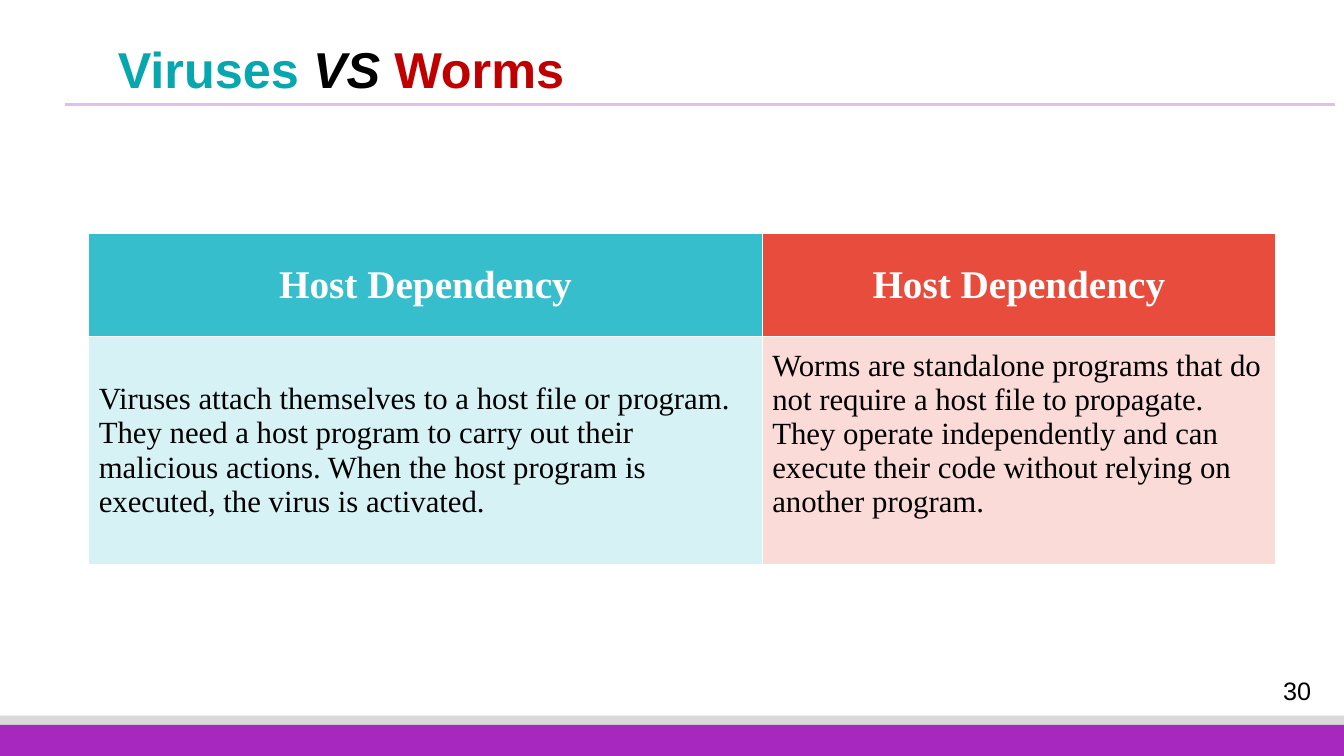
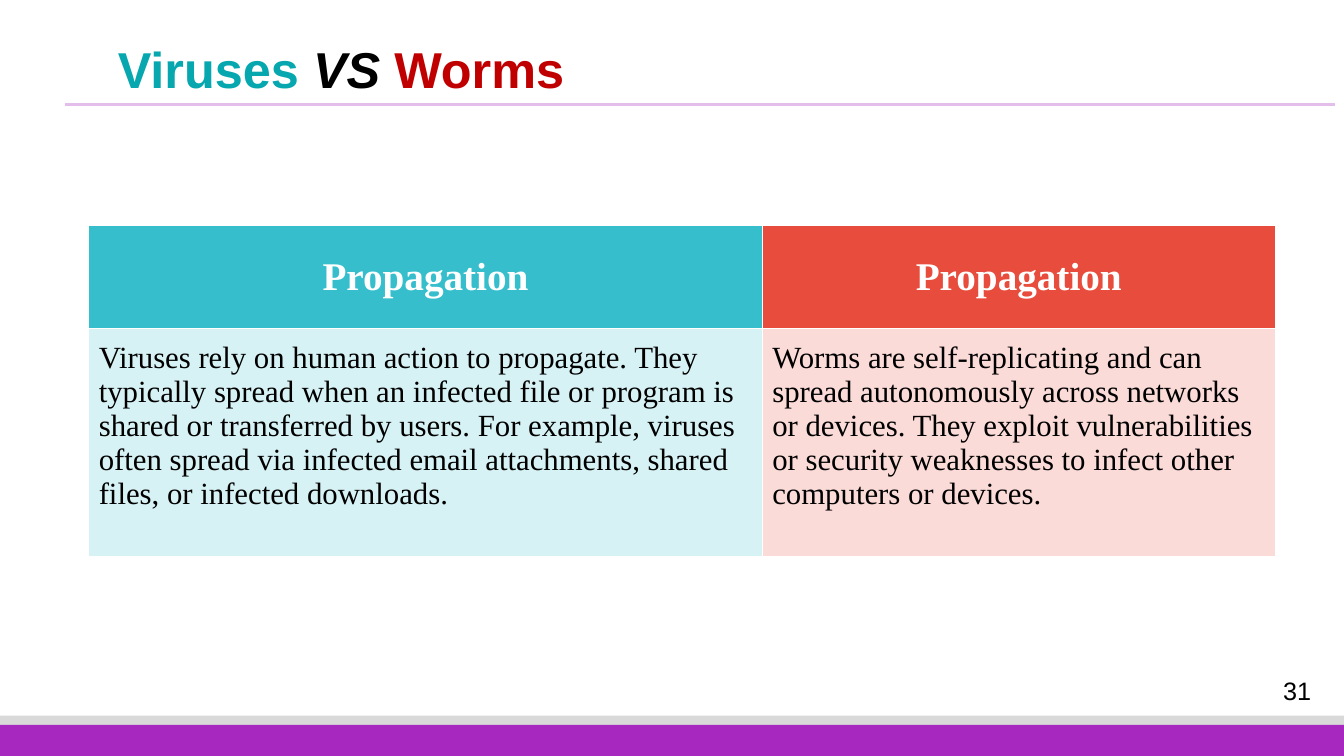
from lxml import etree
from pptx import Presentation
from pptx.dml.color import RGBColor
from pptx.enum.shapes import MSO_CONNECTOR, MSO_SHAPE
from pptx.enum.text import MSO_ANCHOR, PP_ALIGN
from pptx.oxml.ns import qn
from pptx.util import Inches, Pt

RECT, STRAIGHT = MSO_SHAPE.RECTANGLE, MSO_CONNECTOR.STRAIGHT
MIDDLE, CENTER, LEFT = MSO_ANCHOR.MIDDLE, PP_ALIGN.CENTER, PP_ALIGN.LEFT

BLACK = RGBColor(0x00, 0x00, 0x00)
WHITE = RGBColor(0xFF, 0xFF, 0xFF)
GREY = RGBColor(0xD9, 0xD9, 0xD9)
PURPLE = RGBColor(0xA7, 0x28, 0xBE)
LILAC = RGBColor(0xE4, 0xBE, 0xEB)
TEAL = RGBColor(0x07, 0xA7, 0xAF)
RED = RGBColor(0xC0, 0x00, 0x00)
HEAD_FILLS = RGBColor(0x37, 0xBE, 0xCC), RGBColor(0xE7, 0x4C, 0x3C)
BODY_FILLS = RGBColor(0xD7, 0xF2, 0xF5), RGBColor(0xFA, 0xDB, 0xD8)

SANS, SERIF = "Arial", "Times New Roman"
WIDTH, HEIGHT = 13.33, 7.5
BANDS = [(0.4, GREY), (0.31, PURPLE)]
COLUMNS, ROWS = (6.68, 5.09), (1.02, 2.12)
PLAIN, RAISED = 0.05, 0.38  # bottom margin of a body cell, inches

TITLE = [("Viruses ", TEAL, False), ("VS ", BLACK, True), ("Worms", RED, False)]
SLIDES = [
    dict(number="30", top=2.32, heading="Host Dependency", bodies=[
        ("Viruses attach themselves to a host file or program. They need a host "
         "program to carry out their malicious actions. When the host program is "
         "executed, the virus is activated.", PLAIN),
        ("Worms are standalone programs that do not require a host file to "
         "propagate. They operate independently and can execute their code "
         "without relying on another program.", RAISED)]),
    dict(number="31", top=2.24, heading="Propagation", bodies=[
        ("Viruses rely on human action to propagate. They typically spread when "
         "an infected file or program is shared or transferred by users. For "
         "example, viruses often spread via infected email attachments, shared "
         "files, or infected downloads.", RAISED),
        ("Worms are self-replicating and can spread autonomously across networks "
         "or devices. They exploit vulnerabilities or security weaknesses to "
         "infect other computers or devices.", RAISED)]),
]


def add_run(p, text, font, size, color, bold=False, italic=False):
    r = p.add_run()
    r.text = text
    r.font.name, r.font.size = font, Pt(size)
    r.font.bold, r.font.italic = bold, italic
    r.font.color.rgb = color


def add_textbox(s, left, top, width, height):
    tf = s.shapes.add_textbox(*map(Inches, (left, top, width, height))).text_frame
    tf.word_wrap = True
    return tf


def add_frame(s, number):
    """Add the footer bands, title rule, title and page number."""
    for height, color in BANDS:
        sp = s.shapes.add_shape(RECT, 0, Inches(HEIGHT - height),
                                Inches(WIDTH), Inches(height))
        sp.shadow.inherit = False
        sp.fill.solid()
        sp.fill.fore_color.rgb = color
        sp.line.fill.background()

    rule = s.shapes.add_connector(STRAIGHT, *map(Inches, (0.64, 1.04, 13.24, 1.04)))
    rule.line.color.rgb = LILAC
    rule.line.width = Pt(2.25)
    etree.SubElement(rule._element.spPr, qn("a:effectLst"))

    tf = add_textbox(s, 12.41, 6.65, 0.91, 0.39)
    tf.vertical_anchor = MIDDLE
    tf.paragraphs[0].alignment = CENTER
    add_run(tf.paragraphs[0], number, SANS, 18, BLACK)

    tf = add_textbox(s, 1.07, 0.35, 11.37, 0.48)
    tf.margin_top = Inches(0.03)
    for text, color, italic in TITLE:
        add_run(tf.paragraphs[0], text, SANS, 36, color, True, italic)


def fill_cell(cell, text, fill, align, bottom, **font):
    cell.fill.solid()
    cell.fill.fore_color.rgb = fill
    cell.vertical_anchor = MIDDLE
    cell.margin_bottom = Inches(bottom)
    p = cell.text_frame.paragraphs[0]
    p.alignment = align
    add_run(p, text, SERIF, **font)


def add_comparison(s, top, heading, bodies):
    table = s.shapes.add_table(len(ROWS), len(COLUMNS), Inches(0.88), Inches(top),
                               Inches(sum(COLUMNS)), Inches(sum(ROWS))).table
    table.horz_banding = False
    for row, height in zip(table.rows, ROWS):
        row.height = Inches(height)
    for i, (text, bottom) in enumerate(bodies):
        table.columns[i].width = Inches(COLUMNS[i])
        fill_cell(table.cell(0, i), heading, HEAD_FILLS[i], CENTER, PLAIN,
                  size=28, color=WHITE, bold=True)
        fill_cell(table.cell(1, i), text, BODY_FILLS[i], LEFT, bottom,
                  size=22, color=BLACK)


def main():
    prs = Presentation()
    prs.slide_width, prs.slide_height = Inches(WIDTH), Inches(HEIGHT)
    for content in SLIDES:
        s = prs.slides.add_slide(prs.slide_layouts[6])
        add_frame(s, content["number"])
        add_comparison(s, content["top"], content["heading"], content["bodies"])
    prs.save("out.pptx")


if __name__ == "__main__":
    main()
